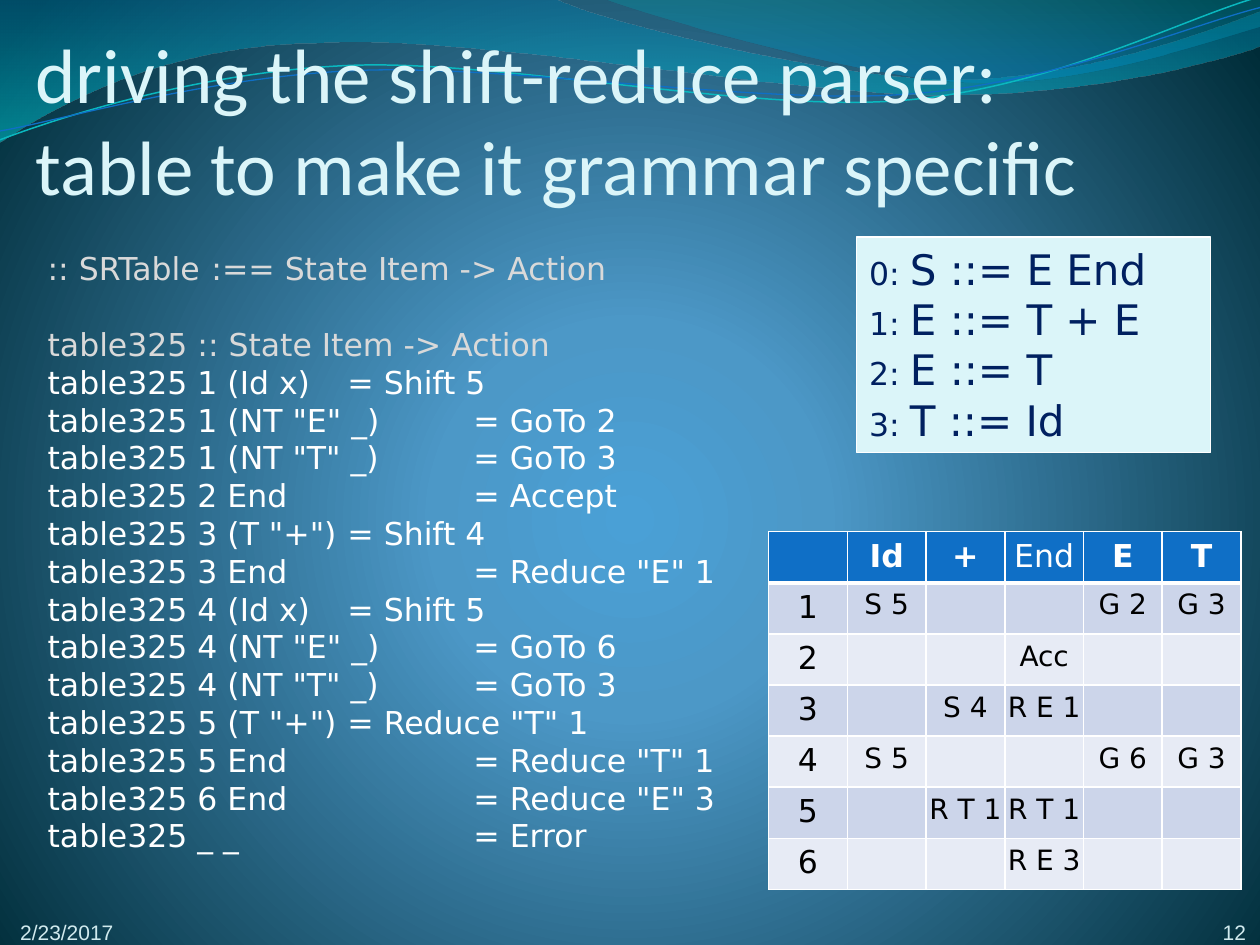
from pptx import Presentation
from pptx.dml.color import RGBColor
from pptx.enum.shapes import MSO_SHAPE
from pptx.enum.text import MSO_ANCHOR, PP_ALIGN
from pptx.oxml import parse_xml
from pptx.oxml.ns import nsdecls, qn
from pptx.util import Inches, Pt

LEFT, CENTER, RIGHT = PP_ALIGN.LEFT, PP_ALIGN.CENTER, PP_ALIGN.RIGHT
TOP, MIDDLE, BOTTOM = MSO_ANCHOR.TOP, MSO_ANCHOR.MIDDLE, MSO_ANCHOR.BOTTOM
RECTANGLE = MSO_SHAPE.RECTANGLE
CODE_FONT = "DejaVu Sans"
WHITE, GREY, NAVY, PALE, BLUE = "FFFFFF", "D9D9D9", "002060", "DBF5F9", "0F6FC6"
BANDS = ("CCD5EA", "E7EBF5")
INSETS = (0.1, 0.05, 0.1, 0.05)

# Wave outlines: a start point, then lines (2 numbers) and Bezier curves (6 numbers)
FILLED_WAVES = [
    ([(0, -0.01), (4.4, -0.01), (4.76, 0.17, 6.64, 0.63, 7.58, 0.63),
      (8.53, 0.63, 9.58, 0.26, 10, 0.09), (10.01, 0.36),
      (9.83, 0.44, 8.7, 0.76, 7.46, 0.75), (6.22, 0.75, 3.82, 0.28, 2.57, 0.34),
      (1.29, 0.35, 0.46, 0.83, -0.01, 1.13), (0, -0.01)],
     [(0, "0074A1", 45), (100, "00C6CF", 55)]),
    ([(4.79, -0.01), (5.09, 0.11, 6.82, 0.62, 7.69, 0.65),
      (8.56, 0.69, 9.61, 0.32, 10, 0.21), (10, 0), (4.79, -0.01)],
     [(0, "00A1A9", 30), (80, "008BBF", 45)]),
]
LINE_WAVES = [
    ([(0, 1.11), (0.48, 0.93, 1.58, 0.57, 2.77, 0.52),
      (3.95, 0.47, 5.93, 0.89, 7.13, 0.8), (8.33, 0.71, 9.38, 0.15, 9.98, -0.02)],
     "0AB8BF", 0.85),
    ([(0, 1.04), (0.47, 0.96, 1.64, 0.61, 2.83, 0.56),
      (4.03, 0.51, 5.97, 0.83, 7.17, 0.75), (8.36, 0.67, 9.41, 0.21, 10, 0.06)],
     BLUE, 0.75),
]
SIGNATURES = [":: SRTable\t:== State Item -> Action", "table325 :: State Item -> Action"]
RULES = [
    "1 (Id x)\t = Shift 5", '1 (NT "E" _) \t = GoTo 2', '1 (NT "T" _) \t = GoTo 3',
    "2 End\t \t = Accept", '3 (T "+")\t = Shift 4', '3 End\t \t = Reduce "E" 1',
    "4 (Id x)\t = Shift 5", '4 (NT "E" _) \t = GoTo 6', '4 (NT "T" _) \t = GoTo 3',
    '5 (T "+")\t = Reduce "T" 1', '5 End\t \t = Reduce "T" 1',
    '6 End\t \t = Reduce "E" 3', "_ _\t\t = Error",
]
GRAMMAR = ["S ::= E End", "E ::= T + E", "E ::= T", "T ::= Id"]
ACTIONS = [
    ["", "Id", "+", "End", "E", "T"],
    ["1", "S 5", "", "", "G 2", "G 3"],
    ["2", "", "", "Acc", "", ""],
    ["3", "", "S 4", "R E 1", "", ""],
    ["4", "S 5", "", "", "G 6", "G 3"],
    ["5", "", "R T 1", "R T 1", "", ""],
    ["6", "", "", "R E 3", "", ""],
]


def color(value):
    return RGBColor.from_string(value)


def set_gradient(fill, container, stops, direction):
    """Give a shape or background a gradient of (position, colour, opacity) stops."""
    fill.solid()
    marks = "".join(
        f'<a:gs pos="{position * 1000}"><a:srgbClr val="{value}">'
        f'<a:alpha val="{opacity * 1000}"/></a:srgbClr></a:gs>'
        for position, value, opacity in stops)
    gradient = parse_xml(f'<a:gradFill {nsdecls("a")} rotWithShape="1">'
                         f'<a:gsLst>{marks}</a:gsLst>{direction}</a:gradFill>')
    container.replace(container.find(qn("a:solidFill")), gradient)


def add_wave(slide, outline, close):
    """Draw the outline through its end points, then bend the curved segments."""
    points = [(Inches(segment[-2]), Inches(segment[-1])) for segment in outline]
    builder = slide.shapes.build_freeform(*points[0])
    builder.add_line_segments(points[1:], close=close)
    shape = builder.convert_to_shape()
    shape.shadow.inherit = False
    lines = list(shape._element.iter(qn("a:lnTo")))
    for line, segment in zip(lines, outline[1:]):
        if len(segment) == 6:
            marks = "".join(
                f'<a:pt x="{Inches(x) - shape.left}" y="{Inches(y) - shape.top}"/>'
                for x, y in zip(segment[::2], segment[1::2]))
            curve = parse_xml(f'<a:cubicBezTo {nsdecls("a")}>{marks}</a:cubicBezTo>')
            line.getparent().replace(line, curve)
    return shape


def add_run(paragraph, text, **formats):
    run = paragraph.add_run()
    run.text = text
    run.font.color.rgb = color(formats.pop("color"))
    for name, value in formats.items():
        setattr(run.font, name, value)


def format_frame(frame, insets=INSETS, anchor=TOP):
    sides = ("left", "top", "right", "bottom")
    formats = {f"margin_{side}": Inches(inset) for side, inset in zip(sides, insets)}
    formats.update(word_wrap=True, vertical_anchor=anchor)
    for name, value in formats.items():
        setattr(frame, name, value)


def next_paragraph(frame, index, **formats):
    paragraph = frame.add_paragraph() if index else frame.paragraphs[0]
    for name, value in formats.items():
        setattr(paragraph, name, value)
    return paragraph


def set_hanging(paragraph):
    lengths = {"marL": 0.3, "indent": -0.3, "defTabSz": 1}
    properties = paragraph._p.get_or_add_pPr()
    for name, length in lengths.items():
        properties.set(name, str(Inches(length)))


def add_text_box(slide, box, **frame_formats):
    frame = slide.shapes.add_textbox(*map(Inches, box)).text_frame
    format_frame(frame, **frame_formats)
    return frame


def add_background(slide):
    stops = [(0, "4AA0D6", 100), (25, "4C98C7", 100), (100, "002C38", 100)]
    fill = slide.background.fill
    fill.solid()
    set_gradient(fill, slide._element.cSld.bg.bgPr, stops,
                 '<a:path path="circle">'
                 '<a:fillToRect l="10000" t="110000" r="10000" b="100000"/></a:path>')
    for outline, stops in FILLED_WAVES:
        wave = add_wave(slide, outline, True)
        set_gradient(wave.fill, wave._element.spPr, stops, '<a:lin ang="5400000" scaled="0"/>')
        wave.line.fill.background()
    for outline, line_color, width in LINE_WAVES:
        wave = add_wave(slide, outline, False)
        wave.fill.background()
        wave.line.color.rgb = color(line_color)
        wave.line.width = Pt(width)


def add_title(slide, text):
    title = slide.shapes.title
    slide.shapes._spTree.append(title._element)
    title.left, title.top, title.width, title.height = map(Inches, (0.28, 0.29, 9.27, 1.25))
    format_frame(title.text_frame, (0, 0.05, 0, 0), MIDDLE)
    paragraph = next_paragraph(title.text_frame, 0, alignment=LEFT)
    for index, line in enumerate(text):
        if index:
            paragraph.add_line_break()
        add_run(paragraph, line, size=Pt(44), name="Calibri", color=PALE)


def add_code(slide):
    frame = add_text_box(slide, (0.28, 1.93, 8.98, 5.47))
    lines = SIGNATURES + [f"table325 {rule}" for rule in RULES]
    for index, line in enumerate(lines):
        gap = Pt(0 if index else 21.6)
        paragraph = next_paragraph(frame, index, line_spacing=Pt(21.6), space_after=gap)
        set_hanging(paragraph)
        add_run(paragraph, line, size=Pt(18), name=CODE_FONT,
                color=GREY if line in SIGNATURES else WHITE)


def add_grammar(slide):
    shape = slide.shapes.add_shape(RECTANGLE, *map(Inches, (6.8, 1.88, 2.81, 1.71)))
    shape.shadow.inherit = False
    shape.fill.solid()
    shape.fill.fore_color.rgb = color(PALE)
    shape.line.color.rgb = color(WHITE)
    shape.line.width = Pt(0.75)
    format_frame(shape.text_frame)
    for index, production in enumerate(GRAMMAR):
        paragraph = next_paragraph(shape.text_frame, index, alignment=LEFT,
                                   line_spacing=Pt(28.8))
        set_hanging(paragraph)
        for text, size in ((f"{index}: ", 18), (production, 24)):
            add_run(paragraph, text, size=Pt(size), name=CODE_FONT, color=NAVY)


def set_borders(cell, bottom_width):
    properties = cell._tc.get_or_add_tcPr()
    for index, side in enumerate("LRTB"):
        width = Pt(bottom_width if side == "B" else 1)
        properties.insert(index, parse_xml(
            f'<a:ln{side} {nsdecls("a")} w="{width}"><a:solidFill>'
            f'<a:srgbClr val="{WHITE}"/></a:solidFill></a:ln{side}>'))


def add_action_table(slide):
    rows, columns = len(ACTIONS), len(ACTIONS[0])
    box = map(Inches, (6.1, 4.22, 3.75, 2.84))
    table = slide.shapes.add_table(rows, columns, *box).table
    for row, texts in enumerate(ACTIONS):
        for column, text in enumerate(texts):
            cell = table.cell(row, column)
            header = row == 0
            cell.margin_left = cell.margin_right = 0
            cell.margin_top = cell.margin_bottom = Inches(0.05)
            cell.fill.solid()
            cell.fill.fore_color.rgb = color(BLUE if header else BANDS[(row - 1) % 2])
            set_borders(cell, 3 if header else 1)
            if text:
                paragraph = next_paragraph(cell.text_frame, 0, alignment=CENTER)
                add_run(paragraph, text, size=Pt(18 if header or column == 0 else 16),
                        name=CODE_FONT, bold=header and text != "End",
                        color=WHITE if header else "000000")


def add_footer(slide, text, box, alignment):
    frame = add_text_box(slide, box, insets=(0, 0, 0, 0), anchor=BOTTOM)
    paragraph = next_paragraph(frame, 0, alignment=alignment)
    add_run(paragraph, text, size=Pt(12), name="Arial", color="D1EAEE")


def main():
    presentation = Presentation()
    presentation.slide_width, presentation.slide_height = Inches(10), Inches(7.5)
    slide = presentation.slides.add_slide(presentation.slide_layouts[5])
    add_background(slide)
    add_title(slide, ["driving the shift-reduce parser:", "table to make it grammar specific"])
    add_code(slide)
    add_footer(slide, "2/23/2017", (0.16, 7.27, 1.48, 0.23), LEFT)
    add_footer(slide, "12", (9.06, 7.26, 0.83, 0.24), RIGHT)
    add_action_table(slide)
    add_grammar(slide)
    presentation.save("out.pptx")


main()
